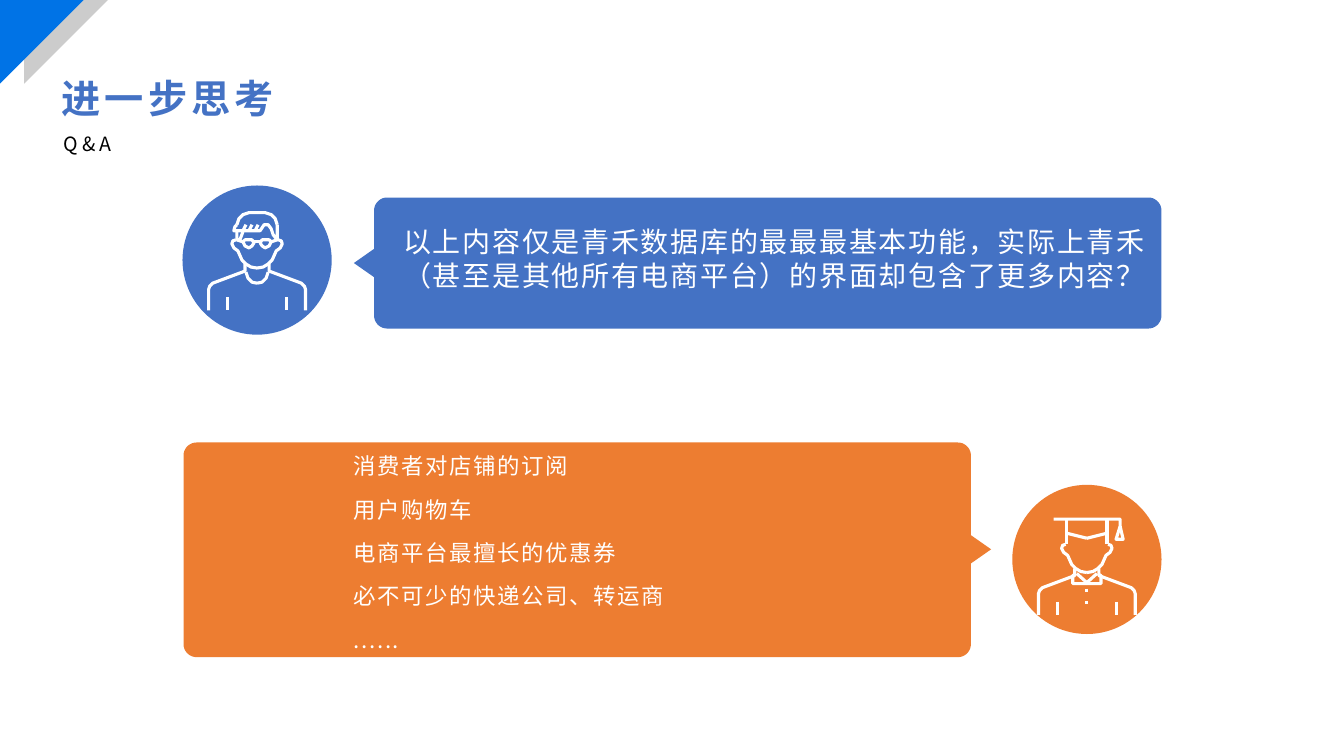
from math import cos, radians, sin

from lxml.etree import SubElement
from pptx import Presentation
from pptx.dml.color import RGBColor
from pptx.enum.shapes import MSO_SHAPE
from pptx.enum.text import MSO_ANCHOR, PP_ALIGN
from pptx.oxml.ns import qn
from pptx.util import Inches, Pt

FONT = "Noto Sans CJK SC"
BLUE, ORANGE, WHITE = "4472C4", "ED7D31", "FFFFFF"


def paint(shape, color):
    shape.shadow.inherit = False
    shape.fill.solid()
    shape.fill.fore_color.rgb = RGBColor.from_string(color)
    shape.line.fill.background()


def write(box, place, lines, size, color, bold=False, tracking=1.2,
          anchor=MSO_ANCHOR.MIDDLE, line_spacing=None, space_after=0):
    """Place a text box and fill it with one paragraph per line."""
    box.left, box.top, box.width, box.height = map(Inches, place)
    frame = box.text_frame
    frame.word_wrap = True
    frame.vertical_anchor = anchor
    for index, line in enumerate(lines):
        para = frame.add_paragraph() if index else frame.paragraphs[0]
        para.alignment = PP_ALIGN.LEFT
        para.line_spacing = line_spacing
        para.space_after = Pt(space_after)
        span = para.add_run()
        span.text = line
        for name, value in {"name": FONT, "size": Pt(size), "bold": bold}.items():
            setattr(span.font, name, value)
        span.font.color.rgb = RGBColor.from_string(color)
        properties = span._r.get_or_add_rPr()
        properties.set("spc", str(round(tracking * 100)))
        SubElement(properties, qn("a:ea")).set("typeface", FONT)


deck = Presentation()
deck.slide_width, deck.slide_height = Inches(13.33), Inches(7.5)
page = deck.slides.add_slide(deck.slide_layouts[5])
shapes = page.shapes

# Speech bubbles: left, top, right, bottom, pointer side, pointer middle, colour
RADIUS, POINTER_HALF, POINTER_LENGTH = 0.13, 0.14, 0.2
bubbles = [
    (3.71, 1.96, 11.52, 3.26, "left", 2.61, BLUE),
    (1.82, 4.39, 9.63, 6.52, "right", 5.45, ORANGE),
]
for left, top, right, bottom, side, middle, color in bubbles:
    corners = [
        (right - RADIUS, top + RADIUS),
        (right - RADIUS, bottom - RADIUS),
        (left + RADIUS, bottom - RADIUS),
        (left + RADIUS, top + RADIUS),
    ]
    edge, turn = (right, 1) if side == "right" else (left, -1)
    outline = []
    for number, (x, y) in enumerate(corners):
        for step in range(0, 91, 10):
            angle = radians(number * 90 - 90 + step)
            outline.append((x + RADIUS * cos(angle), y + RADIUS * sin(angle)))
        if (number, side) in [(0, "right"), (2, "left")]:
            outline += [
                (edge, middle - turn * POINTER_HALF),
                (edge + turn * POINTER_LENGTH, middle),
                (edge, middle + turn * POINTER_HALF),
            ]
    points = [(Inches(x), Inches(y)) for x, y in outline]
    builder = shapes.build_freeform(*points[0], scale=1.0)
    builder.add_line_segments(points[1:], close=True)
    paint(builder.convert_to_shape(), color)

for left, top, color in [(1.81, 1.84, BLUE), (10.04, 4.81, ORANGE)]:
    disc = shapes.add_shape(MSO_SHAPE.OVAL, Inches(left), Inches(top),
                            Inches(1.48), Inches(1.48))
    paint(disc, color)

# Icon strokes: x from the icon's middle, y from its top; halves are mirrored
bust_halves = [
    [(0.48, 0.99), (0.48, 0.78), (0.47, 0.75), (0.44, 0.72), (0.12, 0.6), (0.12, 0.53)],
    [(0.29, 0.86), (0.29, 0.99)],
    [(0.21, 0.29), (0.24, 0.3), (0.25, 0.33), (0.23, 0.37), (0.19, 0.4),
     (0.15, 0.49), (0.11, 0.53), (0.06, 0.56), (0, 0.57)],
]
man_halves = [
    [(0.11, 0.61), (0.09, 0.67), (0.05, 0.71), (0, 0.72)],
    [(0.2, 0.29), (0.14, 0.31), (0.12, 0.35), (0.08, 0.37), (0.05, 0.35),
     (0.03, 0.32), (0.05, 0.29), (0.12, 0.29), (0.14, 0.31)],
    [(0.03, 0.31), (0, 0.31)],
    [(0.2, 0.14), (0.18, 0.08), (0.14, 0.04), (0.08, 0.02), (0, 0.02)],
]
man_singles = [
    [(0.2, 0.14), (0.2, 0.29), (0.16, 0.24), (0.14, 0.18), (0.11, 0.14),
     (0.07, 0.14), (0.03, 0.2), (-0.23, 0.2), (-0.22, 0.16), (-0.2, 0.14)],
    [(-0.2, 0.21), (-0.2, 0.29), (-0.17, 0.29), (-0.14, 0.21)],
] + [[(x, 0.14), (x - 0.03, 0.2)] for x in (-0.11, -0.05, 0.01)]
graduate_halves = [
    [(0.2, 0.04), (0.2, 0.29)],
    [(0.2, 0.18), (0, 0.23)],
    [(0.12, 0.59), (0.14, 0.6), (0.14, 0.68), (0, 0.68)],
    [(0.1, 0.58), (0, 0.67)],
]
graduate_singles = [
    [(-0.33, 0.04), (0.33, 0.04), (0.33, 0.11), (0.36, 0.24), (0.29, 0.24), (0.33, 0.11)],
    [(0, 0.73), (0, 0.76)],
    [(0, 0.85), (0, 0.88)],
]
icons = [
    (2.55, 2.09, bust_halves + man_halves, man_singles),
    (10.78, 5.11, bust_halves + graduate_halves, graduate_singles),
]
for middle, top, halves, singles in icons:
    mirrored = [[(-x, y) for x, y in stroke] for stroke in halves]
    builder = None
    for stroke in halves + mirrored + singles:
        points = [(Inches(middle + x), Inches(top + y)) for x, y in stroke]
        if builder is None:
            builder = shapes.build_freeform(*points[0], scale=1.0)
        else:
            builder.move_to(*points[0])
        builder.add_line_segments(points[1:], close=False)
    icon = builder.convert_to_shape()
    icon.shadow.inherit = False
    icon.fill.background()
    icon.line.color.rgb = RGBColor.from_string(WHITE)
    icon.line.width = Pt(2.25)

question = "以上内容仅是青禾数据库的最最最基本功能，实际上青禾（甚至是其他所有电商平台）的界面却包含了更多内容？"
answers = [
    "消费者对店铺的订阅",
    "用户购物车",
    "电商平台最擅长的优惠券",
    "必不可少的快递公司、转运商",
    "......",
]
write(shapes.title, (0.51, 0.69, 12.38, 0.57), ["进一步思考"], 28, BLUE,
      bold=True, tracking=3)
write(shapes.add_textbox(0, 0, 0, 0), (0.53, 1.26, 12.36, 0.34), ["Q&A"], 14,
      "000000", tracking=3)
write(shapes.add_textbox(0, 0, 0, 0), (3.9, 2.18, 7.62, 1.08), [question], 20,
      WHITE, anchor=MSO_ANCHOR.TOP, space_after=8)
write(shapes.add_textbox(0, 0, 0, 0), (3.41, 4.39, 4.51, 2.13), answers, 16,
      WHITE, line_spacing=1.2, space_after=8)

for left, color in [(0.24, "CCCCCC"), (0, "0073E6")]:
    triangle = shapes.add_shape(MSO_SHAPE.RIGHT_TRIANGLE, Inches(left), 0,
                                Inches(0.83), Inches(0.83))
    triangle.rotation = 90
    paint(triangle, color)

deck.save("out.pptx")
